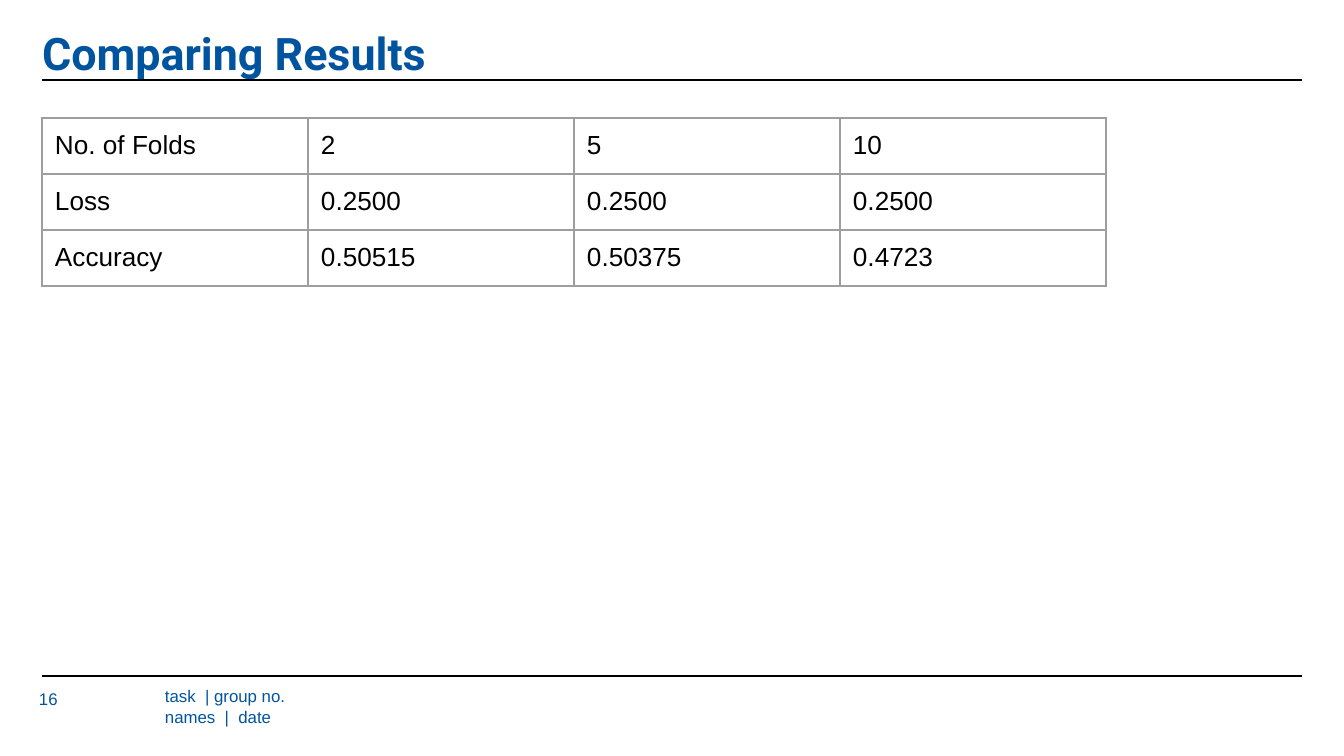
from lxml import etree
from pptx import Presentation
from pptx.dml.color import RGBColor
from pptx.enum.shapes import MSO_CONNECTOR
from pptx.enum.text import MSO_ANCHOR, MSO_AUTO_SIZE, PP_ALIGN
from pptx.oxml.ns import qn
from pptx.util import Emu, Pt

STRAIGHT = MSO_CONNECTOR.STRAIGHT
TOP, BOTTOM = MSO_ANCHOR.TOP, MSO_ANCHOR.BOTTOM
LEFT = PP_ALIGN.LEFT
NO_AUTOFIT = MSO_AUTO_SIZE.NONE
TITLE_ONLY = 5

PX_PER_INCH = 134.4
BLUE, BLACK, GREY = "00549F", "000000", "9E9E9E"
RULE_PT = 0.75

RESULTS = [
    ["No. of Folds", "2", "5", "10"],
    ["Loss", "0.2500", "0.2500", "0.2500"],
    ["Accuracy", "0.50515", "0.50375", "0.4723"],
]


def px(n):
    return Emu(round(n * 914400 / PX_PER_INCH))


def rgb(color):
    return RGBColor.from_string(color)


class SlideBuilder:
    font = "Arial"
    title_font = "Roboto"

    def __init__(self, slide):
        self.slide = slide

    def format_text(self, tf, text, size, color, font=None, bold=False, anchor=TOP, inset=0):
        frame_format = {
            "word_wrap": True, "auto_size": NO_AUTOFIT, "vertical_anchor": anchor,
            "margin_left": px(inset), "margin_right": px(inset),
            "margin_top": px(inset), "margin_bottom": px(inset),
        }
        for name, value in frame_format.items():
            setattr(tf, name, value)
        p = tf.paragraphs[0]
        p.text = text
        p.alignment = LEFT
        for r in p.runs:
            for name, value in {"name": font or self.font, "size": Pt(size), "bold": bold}.items():
                setattr(r.font, name, value)
            r.font.color.rgb = rgb(color)
        return p

    def title(self, text, x, y, w, h):
        s = self.slide.shapes.title
        for name, value in {"left": x, "top": y, "width": w, "height": h}.items():
            setattr(s, name, px(value))
        p = self.format_text(s.text_frame, text, 24, BLUE, self.title_font, True, BOTTOM)
        p.line_spacing = 0.9

    def text(self, text, x, y, w, h):
        s = self.slide.shapes.add_textbox(px(x), px(y), px(w), px(h))
        self.format_text(s.text_frame, text, 9, BLUE)

    def rule(self, x1, x2, y):
        s = self.slide.shapes.add_connector(STRAIGHT, px(x1), px(y), px(x2), px(y))
        s.line.color.rgb = rgb(BLACK)
        s.line.width = Pt(RULE_PT)
        etree.SubElement(s._element.spPr, qn("a:effectLst"))

    def cell_borders(self, cell):
        tc_pr = cell._tc.get_or_add_tcPr()
        for side in ("lnL", "lnR", "lnT", "lnB"):
            ln = etree.SubElement(tc_pr, qn(f"a:{side}"), w=str(Pt(RULE_PT)))
            fill = etree.SubElement(ln, qn("a:solidFill"))
            etree.SubElement(fill, qn("a:srgbClr"), val=GREY)

    def table(self, rows, x, y, col_w, row_h):
        n_rows, n_cols = len(rows), len(rows[0])
        table = self.slide.shapes.add_table(
            n_rows, n_cols, px(x), px(y), px(col_w * n_cols), px(row_h * n_rows)).table
        table.first_row = table.horz_banding = False
        for i, row in enumerate(rows):
            for j, value in enumerate(row):
                cell = table.cell(i, j)
                self.cell_borders(cell)
                cell.fill.background()
                margins = ("margin_left", "margin_right", "margin_top", "margin_bottom")
                for name in margins:
                    setattr(cell, name, px(13))
                p = cell.text_frame.paragraphs[0]
                p.text = value
                for name, setting in {"name": self.font, "size": Pt(14), "bold": False}.items():
                    setattr(p.runs[0].font, name, setting)
                p.runs[0].font.color.rgb = rgb(BLACK)


def main():
    prs = Presentation()
    prs.slide_width, prs.slide_height = px(1344), px(756)
    builder = SlideBuilder(prs.slides.add_slide(prs.slide_layouts[TITLE_ONLY]))

    for y in (80, 676):
        builder.rule(42, 1302, y)
    builder.text("16", 39, 689, 108, 58)
    builder.text("task  | group no.\vnames  |  date", 165, 686, 625, 63)
    builder.title("Comparing Results", 42, 20, 1260, 60)
    builder.table(RESULTS, 42, 118, 266, 56)

    prs.save("out.pptx")


if __name__ == "__main__":
    main()
